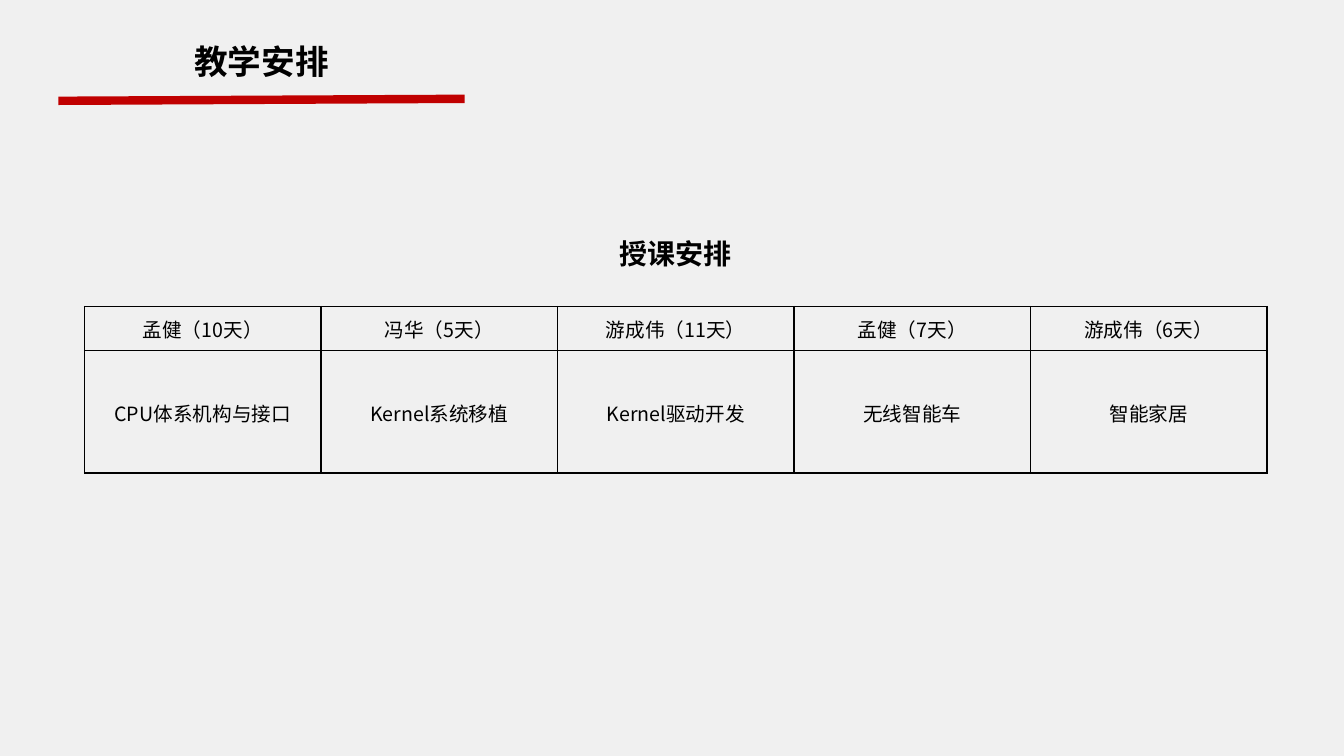
"""Build the teaching schedule slide."""
import pptx
import pptx.dml.color
import pptx.enum.shapes
import pptx.enum.text
import pptx.oxml
import pptx.oxml.ns
import pptx.util
import lxml.etree

Cm = pptx.util.Cm
Pt = pptx.util.Pt
qn = pptx.oxml.ns.qn
COLORS = {"background": "F0F0F0", "ink": "000000", "accent": "C00000"}
FONT = "Noto Sans CJK SC"


def rgb(name):
    return pptx.dml.color.RGBColor.from_string(COLORS[name])


def write(frame, text, size=14, bold=False, color="ink", wrap=None):
    paragraph = frame.paragraphs[0]
    paragraph.alignment = pptx.enum.text.PP_ALIGN.CENTER
    run = paragraph.add_run()
    run.text = text
    run.font.size = Pt(size)
    run.font.bold = bold
    run.font.name = FONT
    run.font.color.rgb = rgb(color)
    lxml.etree.SubElement(run.font._element, qn("a:ea"), typeface=FONT)
    if wrap is not None:
        frame.word_wrap = wrap
        frame.auto_size = pptx.enum.text.MSO_AUTO_SIZE.SHAPE_TO_FIT_TEXT
        frame.vertical_anchor = pptx.enum.text.MSO_ANCHOR.TOP


class Schedule:
    def __init__(self, deck):
        self.slide = deck.slides.add_slide(deck.slide_layouts[5])
        self.slide.background.fill.solid()
        self.slide.background.fill.fore_color.rgb = rgb("background")

    def title(self, text, left, top, width, height):
        heading = self.slide.shapes.title
        heading.left, heading.top = Cm(left), Cm(top)
        heading.width, heading.height = Cm(width), Cm(height)
        write(heading.text_frame, text, size=24, bold=True, wrap=False)

    def caption(self, text, left, top, width, height):
        box = self.slide.shapes.add_textbox(Cm(left), Cm(top), Cm(width), Cm(height))
        write(box.text_frame, text, size=20, bold=True, wrap=False)

    def rule(self, x1, y1, x2, y2):
        underline = self.slide.shapes.add_connector(
            pptx.enum.shapes.MSO_CONNECTOR.STRAIGHT, Cm(x1), Cm(y1), Cm(x2), Cm(y2))
        underline.line.color.rgb = rgb("accent")
        underline.line.width = Pt(6)
        lxml.etree.SubElement(underline._element.spPr, qn("a:effectLst"))

    def table(self, rows, left, top, column_width, row_heights):
        grid = self.slide.shapes.add_table(
            len(rows), len(rows[0]), Cm(left), Cm(top),
            Cm(column_width * len(rows[0])), Cm(sum(row_heights))).table
        grid.first_row = grid.horz_banding = False
        for column in grid.columns:
            column.width = Cm(column_width)
        for row, height, texts in zip(grid.rows, row_heights, rows):
            row.height = Cm(height)
            for cell, text in zip(row.cells, texts):
                self.cell(cell, text)

    def cell(self, cell, text):
        cell.vertical_anchor = pptx.enum.text.MSO_ANCHOR.MIDDLE
        cell.margin_left = cell.margin_right = cell.margin_top = Cm(0.03)
        cell.margin_bottom = 0
        properties = cell._tc.get_or_add_tcPr()
        for side in ("lnL", "lnR", "lnT", "lnB"):
            border = lxml.etree.SubElement(properties, qn(f"a:{side}"), w=str(Pt(1)))
            fill = lxml.etree.SubElement(border, qn("a:solidFill"))
            lxml.etree.SubElement(fill, qn("a:srgbClr"), val=COLORS["ink"])
        cell.fill.background()
        write(cell.text_frame, text)


deck = pptx.Presentation()
deck.slide_width, deck.slide_height = Cm(33.87), Cm(19.05)
schedule = Schedule(deck)
schedule.title("教学安排", 4.62, 0.91, 3.94, 1.27)
schedule.rule(1.47, 2.54, 11.71, 2.49)
schedule.caption("授课安排", 15.34, 5.84, 3.35, 1.12)

courses = [
    ("孟健（10天）", "CPU体系机构与接口"),
    ("冯华（5天）", "Kernel系统移植"),
    ("游成伟（11天）", "Kernel驱动开发"),
    ("孟健（7天）", "无线智能车"),
    ("游成伟（6天）", "智能家居"),
]
schedule.table(list(zip(*courses)), 2.13, 7.72, 5.96, (1.12, 3.08))
deck.save("out.pptx")
